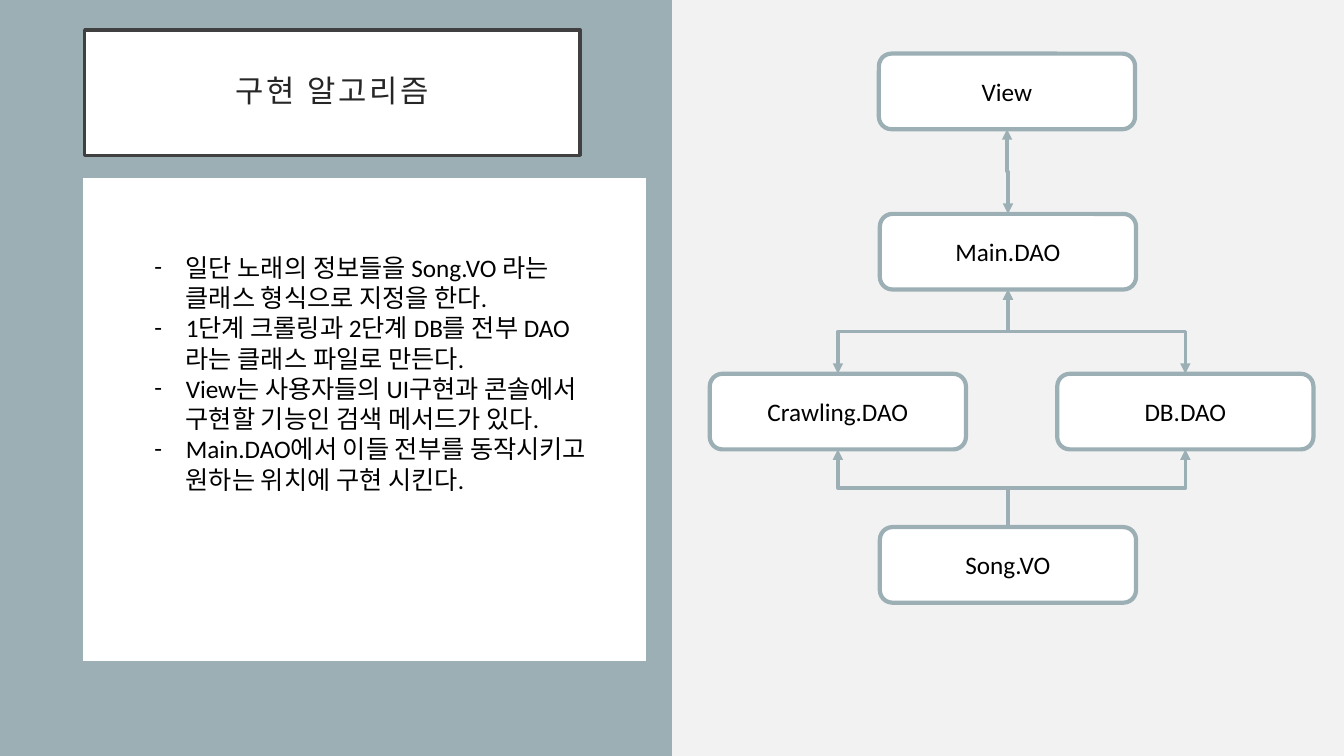
import pptx
import pptx.util
import pptx.dml.color
import pptx.enum.shapes
import pptx.enum.text
import pptx.oxml.ns
import lxml.etree

Pt = pptx.util.Pt
RGBColor = pptx.dml.color.RGBColor
SHAPE = pptx.enum.shapes.MSO_SHAPE
ALIGN = pptx.enum.text.PP_ALIGN
ANCHOR = pptx.enum.text.MSO_ANCHOR
qn = pptx.oxml.ns.qn

SAGE = RGBColor(0x9B, 0xAF, 0xB5)
WHITE = RGBColor(0xFF, 0xFF, 0xFF)
BLACK = RGBColor(0, 0, 0)
PALE = RGBColor(0xF2, 0xF2, 0xF2)
FRAME = RGBColor(0x40, 0x40, 0x40)
INK = RGBColor(0x26, 0x26, 0x26)


def write(paragraph, text, size=18, color=BLACK, align=ALIGN.CENTER, spacing=1.0, tracking=0):
    paragraph.alignment = align
    paragraph.line_spacing = spacing
    paragraph.space_before = Pt(0)
    span = paragraph.add_run()
    span.text = text
    span.font.name = "Calibri"
    span.font.size = Pt(size)
    span.font.color.rgb = color
    if tracking:
        span.font._element.set("spc", str(tracking * 100))


def add_box(kind, left, top, width, height, fill, line=None, weight=1):
    box = page.shapes.add_shape(kind, Pt(left), Pt(top), Pt(width), Pt(height))
    box.shadow.inherit = False
    box.fill.solid()
    box.fill.fore_color.rgb = fill
    if line is None:
        box.line.fill.background()
    else:
        box.line.color.rgb = line
        box.line.width = Pt(weight)
    return box


deck = pptx.Presentation()
deck.slide_width, deck.slide_height = Pt(960), Pt(540)
page = deck.slides.add_slide(deck.slide_layouts[1])
page.background.fill.solid()
page.background.fill.fore_color.rgb = PALE

add_box(SHAPE.RECTANGLE, 0, 0, 480, 540, SAGE)
add_box(SHAPE.RECTANGLE, 58.5, 126.5, 403.5, 346.5, WHITE, SAGE)

title, body = page.placeholders
for holder, left, top, width, height in (
    (body, 103, 176.5, 343.5, 181.5),
    (title, 60.5, 21.5, 354, 89.5),
):
    holder.left, holder.top = Pt(left), Pt(top)
    holder.width, holder.height = Pt(width), Pt(height)
    holder.element.getparent().append(holder.element)
    holder.text_frame.word_wrap = True
    holder.text_frame.auto_size = pptx.enum.text.MSO_AUTO_SIZE.NONE

title.fill.solid()
title.fill.fore_color.rgb = WHITE
title.line.color.rgb = FRAME
title.line.width = Pt(2.5)
frame = title.text_frame
frame.vertical_anchor = ANCHOR.MIDDLE
frame.margin_left = frame.margin_right = frame.margin_top = frame.margin_bottom = Pt(14.4)
write(frame.paragraphs[0], "구현 알고리즘", size=22, color=INK, spacing=0.9, tracking=2)

steps = [
    "일단 노래의 정보들을 Song.VO 라는 클래스 형식으로 지정을 한다.",
    "1단계 크롤링과 2단계 DB를 전부 DAO라는 클래스 파일로 만든다.",
    "View는 사용자들의 UI구현과 콘솔에서 구현할 기능인 검색 메서드가 있다.",
    "Main.DAO에서 이들 전부를 동작시키고 원하는 위치에 구현 시킨다.",
]
body.text_frame.vertical_anchor = ANCHOR.TOP
for number, step in enumerate(steps):
    paragraph = body.text_frame.paragraphs[0] if number == 0 else body.text_frame.add_paragraph()
    write(paragraph, step, align=ALIGN.LEFT)
    properties = paragraph._p.get_or_add_pPr()
    properties.set("marL", str(Pt(22.5)))
    properties.set("indent", str(-Pt(22.5)))
    lxml.etree.SubElement(properties, qn("a:buFont")).set("typeface", "Calibri")
    lxml.etree.SubElement(properties, qn("a:buChar")).set("char", "-")

NODE_WIDTH, NODE_HEIGHT = 183, 54
nodes = {
    "Main.DAO": (720, 152.8),
    "Crawling.DAO": (598.5, 267),
    "View": (719.3, 38.3),
    "Song.VO": (720, 376.5),
    "DB.DAO": (846.7, 267),
}
for name, (center, top) in nodes.items():
    node = add_box(SHAPE.ROUNDED_RECTANGLE, center - NODE_WIDTH / 2, top,
                   NODE_WIDTH, NODE_HEIGHT, WHITE, SAGE, 3)
    node.text_frame.word_wrap = True
    node.text_frame.vertical_anchor = ANCHOR.MIDDLE
    write(node.text_frame.paragraphs[0], name)

links = [
    ("Crawling.DAO", "Song.VO", ["headEnd"]),
    ("DB.DAO", "Song.VO", ["headEnd"]),
    ("Main.DAO", "Crawling.DAO", ["headEnd", "tailEnd"]),
    ("Main.DAO", "DB.DAO", ["headEnd", "tailEnd"]),
    ("View", "Main.DAO", ["headEnd", "tailEnd"]),
]
for upper, lower, arrowheads in links:
    start_x, start_y = nodes[upper][0], nodes[upper][1] + NODE_HEIGHT
    end_x, end_y = nodes[lower]
    drop, shift = end_y - start_y, abs(end_x - start_x)
    left = (start_x + end_x - drop) / 2
    top = (start_y + end_y - shift) / 2
    rightward = end_x > start_x
    ends = (left + drop, left) if rightward else (left, left + drop)
    link = page.shapes.add_connector(
        pptx.enum.shapes.MSO_CONNECTOR.ELBOW,
        Pt(ends[0]), Pt(top), Pt(ends[1]), Pt(top + shift))
    link.line.color.rgb = SAGE
    link.line.width = Pt(2.5)
    properties = link._element.spPr
    properties.find(qn("a:xfrm")).set("rot", str((270 if rightward else 90) * 60000))
    for end in arrowheads:
        lxml.etree.SubElement(properties.find(qn("a:ln")), qn("a:" + end)).set("type", "triangle")
    lxml.etree.SubElement(properties, qn("a:effectLst"))

deck.save("out.pptx")
